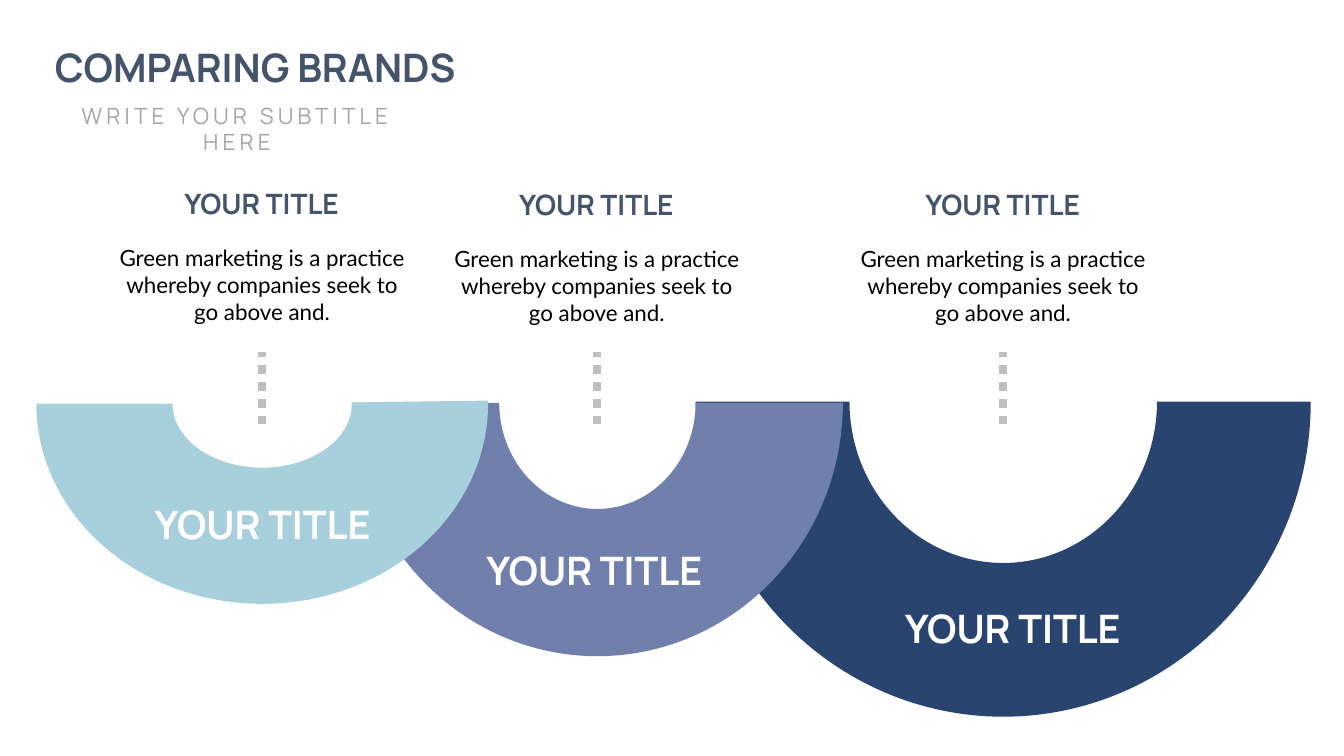
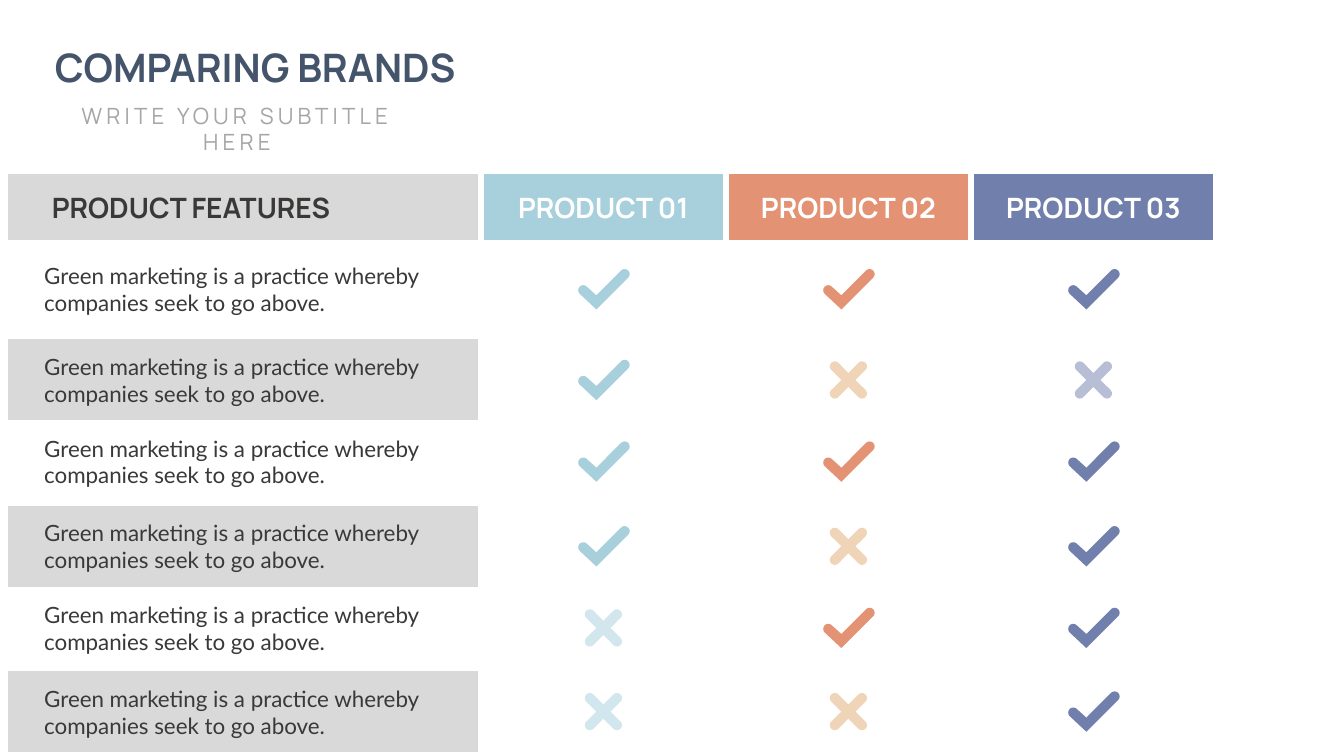
from math import cos, radians, sin

from lxml import etree
from pptx import Presentation
from pptx import util as u
from pptx.dml.color import RGBColor
from pptx.enum import dml, shapes, text
from pptx.oxml.ns import qn

SLATE = RGBColor(0x44, 0x54, 0x6A)
GRAY = RGBColor(0xA6, 0xA6, 0xA6)
DOT = RGBColor(0xBF, 0xBF, 0xBF)
BAND = RGBColor(0xD9, 0xD9, 0xD9)
INK = RGBColor(0x3B, 0x38, 0x38)
BLACK = RGBColor(0, 0, 0)
WHITE = RGBColor(255, 255, 255)
AQUA = RGBColor(0xA7, 0xCF, 0xDC)
CORAL = RGBColor(0xE3, 0x92, 0x74)
SAND = RGBColor(0xEF, 0xD4, 0xB7)
LILAC = RGBColor(0x71, 0x7F, 0xAC)
NAVY = RGBColor(0x29, 0x44, 0x6F)
HEAD, BODY = "Manrope", "Lato"
MID, LEFT = text.PP_ALIGN.CENTER, text.PP_ALIGN.LEFT

ARCS = [
    ((6.9, 0.86, 6.1, 6.25), (108, 0, 0.25), NAVY, 9.95, (8.86, 5.94), 1.81),
    ((3.49, 1.48, 4.87, 5.03), (108, 215.98, 0.3), LILAC, 5.92, (4.71, 5.37), 1.81),
    ((0.36, 2.02, 4.48, 3.97), (107.52, 0, 0.34), AQUA, 2.6, (1.42, 4.91), 1.8),
]
GOODS = [
    ("PRODUCT 01", AQUA, AQUA, 50),
    ("PRODUCT 02", CORAL, SAND, 100),
    ("PRODUCT 03", LILAC, LILAC, 50),
]
ROWS = [(2.87, "✓✓✓"), (3.77, "✓××"), (4.58, "✓✓✓"),
        (5.42, "✓×✓"), (6.23, "×✓✓"), (7.06, "××✓")]


def inches(box):
    return [u.Inches(n) for n in box]


def write(slide, box, words, size, color, face=HEAD, bold=True, align=MID,
          wrap=False, middle=False, pad=(0.1, 0.05), space=0):
    frame = slide.shapes.add_textbox(*inches(box)).text_frame
    frame.word_wrap = wrap
    frame.auto_size = text.MSO_AUTO_SIZE.SHAPE_TO_FIT_TEXT
    frame.margin_left = frame.margin_right = u.Inches(pad[0])
    frame.margin_top = frame.margin_bottom = u.Inches(pad[1])
    frame.vertical_anchor = text.MSO_ANCHOR.MIDDLE if middle else text.MSO_ANCHOR.TOP
    frame.text = words
    line = frame.paragraphs[0]
    line.alignment = align
    run = line.runs[0]
    run.font.size, run.font.name, run.font.bold = u.Pt(size), face, bold
    run.font.color.rgb = color
    if space:
        run._r.get_or_add_rPr().set("spc", str(space * 100))


def paint(shape, color, edge=0, alpha=100):
    shape.shadow.inherit = False
    shape.fill.solid()
    shape.fill.fore_color.rgb = color
    if alpha < 100:
        tint = shape._element.spPr.find(".//" + qn("a:srgbClr"))
        etree.SubElement(tint, qn("a:alpha")).set("val", str(alpha * 1000))
    if edge:
        shape.line.color.rgb = WHITE
        shape.line.width = u.Pt(edge)
    else:
        shape.line.fill.background()


def block(slide, box, color):
    paint(slide.shapes.add_shape(shapes.MSO_SHAPE.RECTANGLE, *inches(box)), color, 4)


def title(slide, x, y):
    write(slide, (x, y, 4.38, 0.57), "COMPARING BRANDS", 28, SLATE)
    write(slide, (x, y + 0.58, 4.02, 0.37), "WRITE YOUR SUBTITLE HERE", 16, GRAY,
          bold=False, space=3)


def bowl(slide, box, bends, color, axis, label, top):
    arc = slide.shapes.add_shape(shapes.MSO_SHAPE.BLOCK_ARC, *inches(box))
    arc.rotation = 180
    for i, bend in enumerate(bends):
        arc.adjustments[i] = bend
    paint(arc, color)
    link = slide.shapes.add_connector(shapes.MSO_CONNECTOR.STRAIGHT,
                                      *inches((axis, 4.21, axis, 3.49)))
    link.line.color.rgb = DOT
    link.line.width = u.Pt(6)
    link.line.dash_style = dml.MSO_LINE.ROUND_DOT
    etree.SubElement(link._element.spPr, qn("a:effectLst"))
    write(slide, (*label, 2.37, 0.57), "YOUR TITLE", 28, WHITE, middle=True)
    write(slide, (axis - 0.88, top, 1.75, 0.44), "YOUR TITLE", 20, SLATE)
    write(slide, (axis - 1.7, top + 0.5, 3.4, 1.05),
          "Green marketing is a practice whereby companies seek to go above and.",
          16, BLACK, BODY, False, wrap=True, pad=(0.24, 0.12))


def cap(x, y, start):
    turns = [radians(start + 15 * i) for i in range(13)]
    return [(x + 0.05 * cos(t), y + 0.05 * sin(t)) for t in turns]


def check():
    return ([(-0.07, 0.2)] + cap(-0.2, 0.01, 135) + [(-0.07, 0.06)]
            + cap(0.21, -0.15, 225))


def cross():
    points = []
    for turn in range(0, 360, 90):
        a, b = radians(turn), radians(turn + 45)
        points.append((0.07 * cos(a), 0.07 * sin(a)))
        points += cap(0.19 * cos(b), 0.19 * sin(b), turn - 45)
    return points


def mark(slide, x, y, points, color, alpha=100):
    spots = [(u.Inches(x + a), u.Inches(y + b)) for a, b in points]
    pen = slide.shapes.build_freeform(*spots[0])
    pen.add_line_segments(spots[1:], close=True)
    paint(pen.convert_to_shape(), color, alpha=alpha)


def grid(slide, x, y, first, wide):
    block(slide, (x, y, first, 0.71), BAND)
    write(slide, (x + 0.34, y + 0.14, 3.01, 0.44), "PRODUCT FEATURES", 20, INK,
          middle=True)
    mids = [x + first + wide * (i + 0.5) for i in range(len(GOODS))]
    for mid, (name, color, *_) in zip(mids, GOODS):
        block(slide, (mid - wide / 2, y, wide, 0.71), color)
        write(slide, (mid - 0.98, y + 0.14, 1.96, 0.44), name, 20, WHITE, middle=True)
    for i, (row, signs) in enumerate(ROWS):
        if i % 2:
            block(slide, (x, row - 0.43, first, 0.86), BAND)
        write(slide, (x + 0.29, row - 0.32, 4.25, 0.64),
              "Green marketing is a practice whereby companies seek to go above.",
              16, INK, BODY, False, LEFT, wrap=True, middle=True)
        for sign, mid, (_, color, pale, alpha) in zip(signs, mids, GOODS):
            if sign == "✓":
                mark(slide, mid, row, check(), color)
            else:
                mark(slide, mid, row, cross(), pale, alpha)


def main():
    deck = Presentation()
    deck.slide_width, deck.slide_height = inches((13.33, 7.5))
    arcs, table = [deck.slides.add_slide(deck.slide_layouts[6]) for _ in range(2)]
    for arc in ARCS:
        bowl(arcs, *arc)
    grid(table, 0.05, 1.7, 4.72, 2.43)
    for slide in (arcs, table):
        title(slide, 0.34, 0.38)
    deck.save("out.pptx")


if __name__ == "__main__":
    main()
